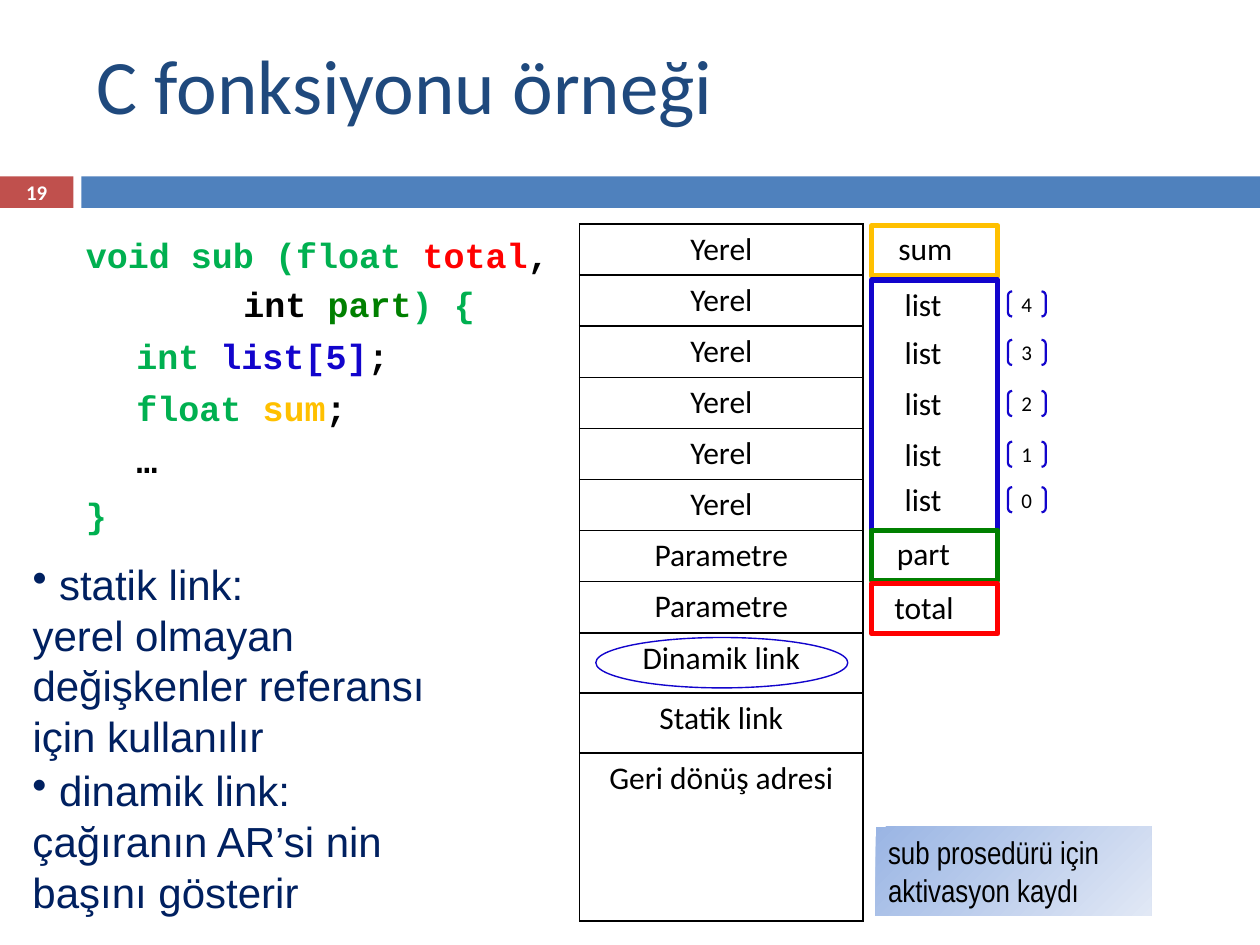
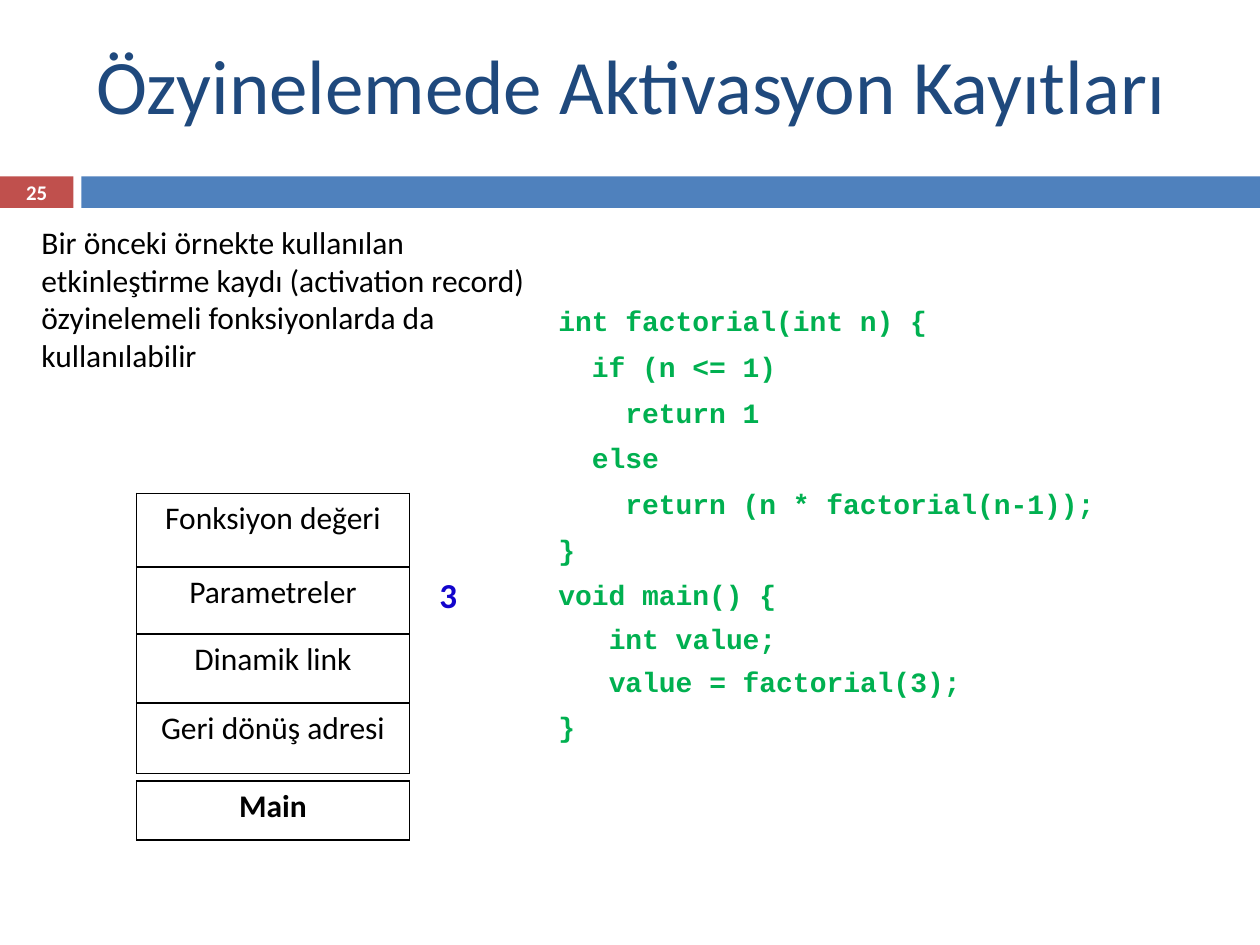
from pptx import Presentation
from pptx.dml.color import RGBColor
from pptx.enum.shapes import MSO_SHAPE
from pptx.enum.text import MSO_ANCHOR, PP_ALIGN
from pptx.oxml.ns import qn
from pptx.util import Pt
from lxml.etree import SubElement

# Shared colours and text looks
BLACK, WHITE, GREEN = "000000", "FFFFFF", "00B050"
RED, BLUE, GOLD, LEAF = "FF0000", "1204CC", "FFC000", "008000"
NAVY = "002060"
HEAD = dict(name="Calibri", size=Pt(44))
PAGE = dict(name="Calibri", size=Pt(11.9), bold=True)
BODY = dict(name="Calibri", size=Pt(18))
MAIN = dict(BODY, bold=True)
ARG = dict(name="Calibri", size=Pt(20), bold=True)
INDEX = dict(name="Calibri", size=Pt(12))
NOTE = dict(name="Arial", size=Pt(24))
TAG = dict(name="Arial Narrow", size=Pt(18))
CODE = dict(name="Courier New", bold=True)
# Code levels: left indent and space before
LEVELS = {0: (0, 7), 1: (28.8, 5.5), 3: (90, 4)}


def hue(code):
    return RGBColor.from_string(code)


def pts(*nums):
    return [Pt(num) for num in nums]


def add_run(par, words, look, color):
    run = par.add_run()
    run.text = words
    for key, value in look.items():
        setattr(run.font, key, value)
    run.font.color.rgb = hue(color)


def set_frame(frame, wrap=True, anchor=MSO_ANCHOR.TOP):
    frame.word_wrap = wrap
    frame.vertical_anchor = anchor


def next_par(frame, index):
    return frame.add_paragraph() if index else frame.paragraphs[0]


def add_text(slide, box, words, look, color=BLACK, wrap=True,
             align=PP_ALIGN.LEFT, anchor=MSO_ANCHOR.TOP):
    frame = slide.shapes.add_textbox(*pts(*box)).text_frame
    set_frame(frame, wrap, anchor)
    par = frame.paragraphs[0]
    par.alignment = align
    add_run(par, words, look, color)


def add_shape(slide, kind, box, fill=None, line=None, width=1):
    shape = slide.shapes.add_shape(kind, *pts(*box))
    shape.shadow.inherit = False
    if fill:
        shape.fill.solid()
        shape.fill.fore_color.rgb = hue(fill)
    else:
        shape.fill.background()
    if line:
        shape.line.color.rgb = hue(line)
        shape.line.width = Pt(width)
    else:
        shape.line.fill.background()
    return shape


def add_code(slide, box, size, pitch, lines):
    """Each line is a level followed by (words, colour) pairs."""
    frame = slide.shapes.add_textbox(*pts(*box)).text_frame
    set_frame(frame)
    for index, (level, *parts) in enumerate(lines):
        par = next_par(frame, index)
        indent, space = LEVELS[level]
        par.line_spacing = Pt(pitch)
        par.space_before = Pt(space if index else 0)
        par._p.get_or_add_pPr().set("marL", str(Pt(indent)))
        for words, color in parts:
            add_run(par, words, dict(CODE, size=Pt(size)), color)


def add_notes(slide, box, lines):
    """Each line is a bullet mark, or None, and its words."""
    frame = slide.shapes.add_textbox(*pts(*box)).text_frame
    set_frame(frame)
    for index, (mark, words) in enumerate(lines):
        par = next_par(frame, index)
        par.line_spacing = Pt(29)
        if mark:
            SubElement(par._p.get_or_add_pPr(), qn("a:buChar"), char=mark)
        add_run(par, words, NOTE, NAVY)


def add_edges(cell):
    props = cell._tc.get_or_add_tcPr()
    for index, side in enumerate(("lnL", "lnR", "lnT", "lnB")):
        edge = props.makeelement(qn("a:" + side), {"w": str(Pt(1))})
        fill = SubElement(edge, qn("a:solidFill"))
        SubElement(fill, qn("a:srgbClr"), val=BLACK)
        props.insert(index, edge)


def add_stack(slide, left, top, width, rows, look=BODY):
    """A one-column table; each row is its words and height."""
    total = sum(high for _, high in rows)
    box = pts(left, top, width, total)
    table = slide.shapes.add_table(len(rows), 1, *box).table
    table.first_row = table.horz_banding = False
    for index, (words, high) in enumerate(rows):
        table.rows[index].height = Pt(high)
        cell = table.cell(index, 0)
        cell.fill.background()
        add_edges(cell)
        par = cell.text_frame.paragraphs[0]
        par.alignment = PP_ALIGN.CENTER
        add_run(par, words, look, BLACK)


def add_index(slide, top, words):
    shape = add_shape(slide, MSO_SHAPE.DOUBLE_BRACKET, (576, top, 21.6, 14.4),
                      line=BLUE, width=1.25)
    frame = shape.text_frame
    set_frame(frame, False, MSO_ANCHOR.MIDDLE)
    for side in ("left", "right", "top", "bottom"):
        setattr(frame, "margin_" + side, 0)
    par = frame.paragraphs[0]
    par.alignment = PP_ALIGN.CENTER
    add_run(par, words, INDEX, BLACK)


def add_tag(slide, box, words):
    shape = add_shape(slide, MSO_SHAPE.RECTANGLE, box)
    shape.fill.gradient()
    shape.fill.gradient_angle = 315
    stops = shape.fill.gradient_stops
    for stop, place, color in zip(stops, (0, 1), ("9AB5E4", "E1E8F5")):
        stop.position = place
        stop.color.rgb = hue(color)
    set_frame(shape.text_frame)
    par = shape.text_frame.paragraphs[0]
    par.alignment = PP_ALIGN.LEFT
    add_run(par, words, TAG, BLACK)


def add_slide(deck, title, page):
    slide = deck.slides.add_slide(deck.slide_layouts[6])
    add_shape(slide, MSO_SHAPE.RECTANGLE, (0, 100.8, 42, 18), "C0504D")
    add_shape(slide, MSO_SHAPE.RECTANGLE, (46.5, 100.8, 673.5, 18), "4F81BD")
    add_text(slide, (48, 18, 642, 78), title, HEAD, "1F497D")
    add_text(slide, (0, 100, 42, 19.5), page, PAGE, WHITE,
             align=PP_ALIGN.CENTER, anchor=MSO_ANCHOR.MIDDLE)
    return slide


def draw_record(deck):
    slide = add_slide(deck, "C fonksiyonu örneği", "19")
    # Source code and notes
    add_code(slide, (42, 129.6, 288, 180), 20, 24.2, [
        (0, ("void sub (float ", GREEN), ("total", RED), (",", BLACK)),
        (3, ("int ", BLACK), ("part", LEAF), (") {", GREEN)),
        (1, ("int ", GREEN), ("list[5]", BLUE), (";", BLACK)),
        (1, ("float ", GREEN), ("sum", GOLD), (";", BLACK)),
        (1, ("…", BLACK)),
        (0, ("}", GREEN))])
    add_notes(slide, (11.5, 315.4, 270, 124), [
        ("•", " statik link:"),
        (None, "yerel olmayan değişkenler referansı için kullanılır")])
    add_notes(slide, (11.5, 433.4, 258, 94), [
        ("•", " dinamik link: çağıranın AR’si nin başını gösterir")])
    # Activation record
    rows = [("Yerel", 29.2)] * 6 + [("Parametre", 29.2)] * 2
    rows += [("Dinamik link", 34.3), ("Statik link", 34.3),
             ("Geri dönüş adresi", 96)]
    add_stack(slide, 331.2, 128, 162, rows)
    add_shape(slide, MSO_SHAPE.OVAL, (340.5, 364.3, 144, 28.8),
              line=BLUE, width=0.79)
    # Variables beside their rows
    for top, high, color in ((129, 28.8, GOLD), (160, 144, BLUE),
                             (303, 28.8, LEAF), (333.4, 28.8, RED)):
        add_shape(slide, MSO_SHAPE.RECTANGLE, (498.2, top, 72, high),
                  WHITE, color, 3)
    for left, top, words in ((506.2, 127.4, "sum"), (505.4, 301.7, "part"),
                             (504, 332.6, "total")):
        add_text(slide, (left, top, 49, 29), words, BODY, wrap=False)
    for index, top in enumerate((159.1, 186.8, 216, 245, 271)):
        add_text(slide, (509.8, top, 36.7, 29), "list", BODY, wrap=False)
        add_index(slide, top + 7.4, str(4 - index))
    add_tag(slide, (500.4, 472.3, 157.7, 51),
            "sub prosedürü için aktivasyon kaydı")


def draw_recur(deck):
    slide = add_slide(deck, "Özyinelemede Aktivasyon Kayıtları", "25")
    add_text(slide, (16.6, 123.8, 304, 94),
             "Bir önceki örnekte kullanılan etkinleştirme kaydı (activation "
             "record) özyinelemeli fonksiyonlarda da kullanılabilir", BODY)
    # Source code
    lines = [(0, "int factorial(int n) {"), (0, "  if (n <= 1)"),
             (0, "    return 1"), (0, "  else"),
             (0, "    return (n * factorial(n-1));"), (0, "}"),
             (0, "void main() {"), (1, "int value;"),
             (1, "value = factorial(3);"), (0, "}")]
    add_code(slide, (312, 170, 330, 322), 16, 19.15,
             [(level, (words, GREEN)) for level, words in lines])
    # Activation record above the caller
    add_stack(slide, 78, 282, 156, [
        ("Fonksiyon değeri", 42), ("Parametreler", 38.4),
        ("Dinamik link", 39.4), ("Geri dönüş adresi", 40.2)])
    add_stack(slide, 78, 446.4, 156, [("Main", 33.6)], MAIN)
    add_text(slide, (244, 324, 26, 31.5), "3", ARG, BLUE, wrap=False)


def main():
    deck = Presentation()
    deck.slide_width, deck.slide_height = pts(720, 540)
    draw_record(deck)
    draw_recur(deck)
    deck.save("out.pptx")


if __name__ == "__main__":
    main()
